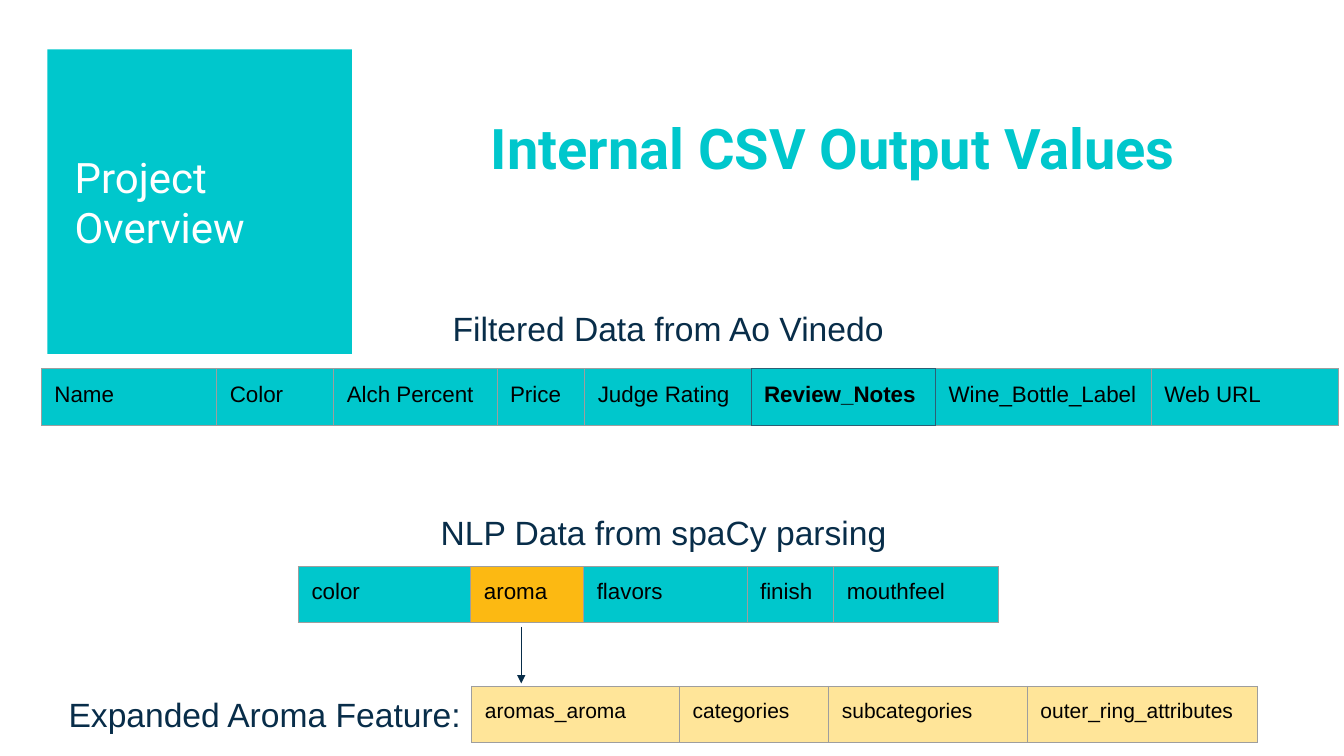
from pptx import Presentation
from pptx.dml.color import RGBColor
from pptx.enum.shapes import MSO_CONNECTOR, MSO_SHAPE
from pptx.enum.text import MSO_ANCHOR, MSO_AUTO_SIZE, PP_ALIGN
from pptx.oxml.ns import qn
from pptx.util import Inches, Pt
from lxml.etree import SubElement

TEAL, GOLD, CREAM = "00C7CC", "FCB912", "FFE599"
NAVY, GREY, SLATE = "082D49", "9E9E9E", "2E5E73"
BLACK, WHITE = "000000", "FFFFFF"
HIGH = 0.56

TITLE = "Internal CSV Output Values"
TOPIC = "Project Overview"
HEADS = [
    ("Filtered Data from Ao Vinedo", 4.36, 2.92, 4.61),
    ("NLP Data from spaCy parsing", 4.24, 4.95, 5.07),
    ("Expanded Aroma Feature:", 0.55, 6.75, 4.35),
]
TABLES = [
    {"left": 0.41, "top": 3.66, "size": 16, "fill": TEAL, "key": "Review_Notes",
     "cells": [("Name", 1.74), ("Color", 1.16), ("Alch Percent", 1.62),
               ("Price", 0.87), ("Judge Rating", 1.65), ("Review_Notes", 1.83),
               ("Wine_Bottle_Label", 2.14), ("Web URL", 1.86)]},
    {"left": 2.96, "top": 5.62, "size": 16, "fill": TEAL, "gold": "aroma",
     "cells": [("color", 1.71), ("aroma", 1.12), ("flavors", 1.62),
               ("finish", 0.86), ("mouthfeel", 1.63)]},
    {"left": 4.68, "top": 6.81, "size": 15, "fill": CREAM,
     "cells": [("aromas_aroma", 2.06), ("categories", 1.48),
               ("subcategories", 1.97), ("outer_ring_attributes", 2.28)]},
]


def paint(color, code):
    color.rgb = RGBColor.from_string(code)


def write(para, text, size, code, face="Arial", bold=False):
    run = para.add_run()
    run.text = text
    run.font.size = Pt(size)
    run.font.name = face
    run.font.bold = bold
    paint(run.font.color, code)


def pad(item, gap):
    item.margin_left = item.margin_right = Inches(gap)
    item.margin_top = item.margin_bottom = Inches(gap)


def edge(cell, codes):
    props = cell._tc.get_or_add_tcPr()
    for spot, (side, code) in enumerate(zip("LRTB", codes)):
        line = SubElement(props, qn(f"a:ln{side}"), w=str(Pt(0.75)))
        fill = SubElement(line, qn("a:solidFill"))
        SubElement(fill, qn("a:srgbClr"), val=code)
        props.insert(spot, line)


def add_row(slide, data):
    cells = data["cells"]
    names = [name for name, wide in cells]
    total = sum(wide for name, wide in cells)
    table = slide.shapes.add_table(
        1, len(cells), Inches(data["left"]), Inches(data["top"]),
        Inches(total), Inches(HIGH)).table
    table.first_row = table.horz_banding = False
    table.rows[0].height = Inches(HIGH)
    key = names.index(data["key"]) if "key" in data else None
    for col, (name, wide) in enumerate(cells):
        table.columns[col].width = Inches(wide)
        cell = table.cell(0, col)
        pad(cell, 0.13)
        cell.fill.solid()
        paint(cell.fill.fore_color, GOLD if name == data.get("gold") else data["fill"])
        near = key is not None
        left = SLATE if near and col in (key, key + 1) else GREY
        right = SLATE if near and col in (key - 1, key) else GREY
        ends = SLATE if col == key else GREY
        edge(cell, (left, right, ends, ends))
        write(cell.text_frame.paragraphs[0], name, data["size"], BLACK, bold=col == key)


def add_head(slide, text, left, top, wide):
    box = slide.shapes.add_textbox(Inches(left), Inches(top), Inches(wide), Inches(0.67))
    frame = box.text_frame
    frame.word_wrap = True
    pad(frame, 0.13)
    write(frame.paragraphs[0], text, 24, NAVY)


def add_arrow(slide):
    arrow = slide.shapes.add_connector(
        MSO_CONNECTOR.STRAIGHT, Inches(5.17), Inches(6.22), Inches(5.17), Inches(6.78))
    arrow.line.width = Pt(0.75)
    paint(arrow.line.color, NAVY)
    SubElement(arrow.line._get_or_add_ln(), qn("a:tailEnd"), type="triangle")
    SubElement(arrow._element.spPr, qn("a:effectLst"))


def add_topic(slide):
    square = slide.shapes.add_shape(
        MSO_SHAPE.RECTANGLE, Inches(0.47), Inches(0.49), Inches(3.02), Inches(3.02))
    square.shadow.inherit = False
    square.fill.solid()
    paint(square.fill.fore_color, TEAL)
    square.line.fill.background()
    frame = square.text_frame
    frame.word_wrap = True
    frame.vertical_anchor = MSO_ANCHOR.MIDDLE
    pad(frame, 0.27)
    para = frame.paragraphs[0]
    para.alignment = PP_ALIGN.LEFT
    write(para, TOPIC, 30, WHITE, "Roboto")


def set_title(slide):
    title = slide.shapes.title
    title.left, title.top = Inches(3.6), Inches(1.1)
    title.width, title.height = Inches(9.32), Inches(0.81)
    frame = title.text_frame
    frame.word_wrap = True
    frame.auto_size = MSO_AUTO_SIZE.NONE
    frame.vertical_anchor = MSO_ANCHOR.TOP
    pad(frame, 0.1)
    para = frame.paragraphs[0]
    para.alignment = PP_ALIGN.CENTER
    para.line_spacing = 0.9
    write(para, TITLE, 40, TEAL, "Roboto", True)


def main():
    deck = Presentation()
    deck.slide_width, deck.slide_height = Inches(13.33), Inches(7.5)
    slide = deck.slides.add_slide(deck.slide_layouts[5])
    set_title(slide)
    add_topic(slide)
    for data in TABLES:
        add_row(slide, data)
    for head in HEADS:
        add_head(slide, *head)
    add_arrow(slide)
    deck.save("out.pptx")


if __name__ == "__main__":
    main()
